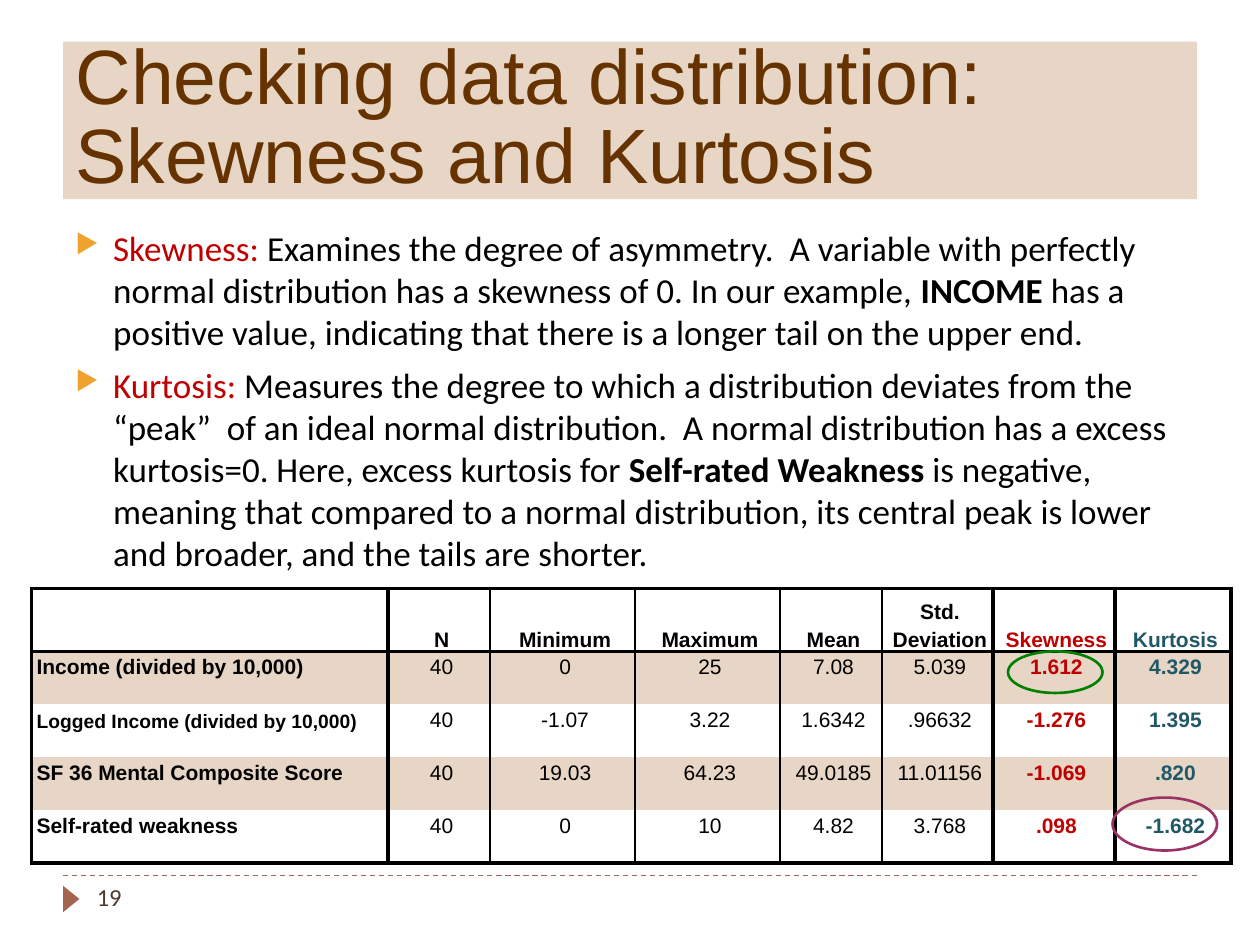
from dataclasses import dataclass

from lxml import etree
from pptx import Presentation
from pptx import util as u
from pptx.dml.color import RGBColor
from pptx.enum import dml, shapes, text
from pptx.oxml import ns

Inches, Pt = u.Inches, u.Pt


@dataclass(frozen=True)
class Theme:
    heading_font: str = "Arial"
    body_font: str = "Calibri"
    title_size: int = 44
    body_size: int = 20
    number_size: int = 14
    table_size: int = 12
    small_size: int = 11
    sand: str = "E7D6C5"
    white: str = "FFFFFF"
    black: str = "000000"
    brown: str = "663300"
    rust: str = "A5644E"
    dark: str = "4E3B30"
    amber: str = "F0A22E"
    red: str = "C00000"
    teal: str = "215868"
    green: str = "008000"
    plum: str = "993366"
    thick: float = 2.25
    thin: float = 1


THEME = Theme()

BULLETS = [
    [("Skewness: ", THEME.red, False),
     ("Examines the degree of asymmetry.  A variable with perfectly normal distribution "
      "has a skewness of 0. In our example, ", THEME.black, False),
     ("INCOME", THEME.black, True),
     (" has a positive value, indicating that there is a longer tail on the upper end.",
      THEME.black, False)],
    [("Kurtosis: ", THEME.red, False),
     ("Measures the degree to which a distribution deviates from the “peak”  of an ideal "
      "normal distribution.  A normal distribution has a excess kurtosis=0. Here, excess "
      "kurtosis for ", THEME.black, False),
     ("Self-rated Weakness", THEME.black, True),
     (" is negative, meaning that compared to a normal distribution, its central peak is "
      "lower and broader, and the tails are shorter.", THEME.black, False)],
]

STATISTICS = [
    ["", "N", "Minimum", "Maximum", "Mean", "Std. Deviation", "Skewness", "Kurtosis"],
    ["Income (divided by 10,000)", "40", "0", "25", "7.08", "5.039", "1.612", "4.329"],
    ["Logged Income (divided by 10,000)", "40", "-1.07", "3.22", "1.6342", ".96632",
     "-1.276", "1.395"],
    ["SF 36 Mental Composite Score", "40", "19.03", "64.23", "49.0185", "11.01156",
     "-1.069", ".820"],
    ["Self-rated weakness", "40", "0", "10", "4.82", "3.768", ".098", "-1.682"],
]
COLUMN_WIDTHS = [2.83, 0.81, 1.15, 1.15, 0.81, 0.88, 0.97, 0.92]
ROW_HEIGHTS = [0.5] + [0.42] * 4
THICK_EDGES = {0, 1, 6, 7, 8}
COLUMN_COLORS = {6: THEME.red, 7: THEME.teal}


def rgb(value):
    return RGBColor.from_string(value)


def style_font(font, name, size, color, bold=False):
    font.name, font.size, font.bold = name, Pt(size), bold
    font.color.rgb = rgb(color)


def add_child(parent, tag, **attributes):
    return etree.SubElement(parent, ns.qn(tag), **attributes)


def add_title(slide, left, top, width, height):
    title = slide.shapes.title
    title.left, title.top, title.width, title.height = map(Inches, (left, top, width, height))
    title.fill.solid()
    title.fill.fore_color.rgb = rgb(THEME.sand)
    frame = title.text_frame
    frame.text = "Checking data distribution: \vSkewness and Kurtosis"
    frame.auto_size = text.MSO_AUTO_SIZE.NONE
    frame.vertical_anchor = text.MSO_ANCHOR.MIDDLE
    heading = frame.paragraphs[0]
    heading.alignment = text.PP_ALIGN.LEFT
    heading.line_spacing = Pt(45)
    style_font(heading.font, THEME.heading_font, THEME.title_size, THEME.brown)


def add_bullet(paragraph):
    properties = paragraph._p.get_or_add_pPr()
    properties.set("marL", str(Inches(0.3)))
    properties.set("indent", str(-Inches(0.3)))
    add_child(add_child(properties, "a:buClr"), "a:srgbClr", val=THEME.amber)
    add_child(properties, "a:buSzPct", val="76000")
    add_child(properties, "a:buChar", char="▶")


def add_definitions(slide, left, top, width, height):
    box = slide.shapes.add_textbox(*map(Inches, (left, top, width, height)))
    frame = box.text_frame
    frame.word_wrap = True
    for index, parts in enumerate(BULLETS):
        definition = frame.add_paragraph() if index else frame.paragraphs[0]
        add_bullet(definition)
        definition.space_before = Pt(6)
        definition.font.name = THEME.body_font
        definition.font.size = Pt(THEME.body_size)
        for wording, color, bold in parts:
            run = definition.add_run()
            run.text = wording
            run.font.bold = bold
            run.font.color.rgb = rgb(color)


def set_borders(cell, widths):
    properties = cell._tc.get_or_add_tcPr()
    for position, (side, width) in enumerate(zip("LRTB", widths)):
        border = etree.Element(ns.qn(f"a:ln{side}"), w=str(Pt(width)))
        if width:
            add_child(add_child(border, "a:solidFill"), "a:srgbClr", val=THEME.black)
        else:
            add_child(border, "a:noFill")
        properties.insert(position, border)


def fill_cell(cell, wording, row, column):
    header, label = row == 0, column == 0
    cell.margin_left = cell.margin_right = cell.margin_top = cell.margin_bottom = 0
    cell.vertical_anchor = text.MSO_ANCHOR.BOTTOM if header else text.MSO_ANCHOR.TOP
    cell.fill.solid()
    cell.fill.fore_color.rgb = rgb(THEME.sand if row % 2 else THEME.white)
    left, right = (THEME.thick if edge in THICK_EDGES else THEME.thin
                   for edge in (column, column + 1))
    above = THEME.thick if row <= 1 else 0
    below = THEME.thick if row in (0, len(STATISTICS) - 1) else 0
    set_borders(cell, (left, right, above, below))
    cell.text = wording
    value = cell.text_frame.paragraphs[0]
    value.alignment = text.PP_ALIGN.LEFT if label else text.PP_ALIGN.CENTER
    value.line_spacing = Pt(16)
    value._p.get_or_add_pPr().set("marL", str(Inches(0.04)))
    size = THEME.small_size if label and row == 2 else THEME.table_size
    style_font(value.font, THEME.heading_font, size,
               COLUMN_COLORS.get(column, THEME.black),
               header or label or column in COLUMN_COLORS)


def add_statistics(slide, left, top, width, height):
    frame = slide.shapes.add_table(len(STATISTICS), len(COLUMN_WIDTHS),
                                   *map(Inches, (left, top, width, height)))
    table = frame.table
    for column, column_width in zip(table.columns, COLUMN_WIDTHS):
        column.width = Inches(column_width)
    for row, row_height in zip(table.rows, ROW_HEIGHTS):
        row.height = Inches(row_height)
    for row, values in enumerate(STATISTICS):
        for column, wording in enumerate(values):
            fill_cell(table.cell(row, column), wording, row, column)


def add_highlight(slide, color, left, top, width, height):
    ring = slide.shapes.add_shape(shapes.MSO_SHAPE.OVAL,
                                  *map(Inches, (left, top, width, height)))
    ring.shadow.inherit = False
    ring.fill.background()
    ring.line.color.rgb = rgb(color)
    ring.line.width = Pt(1.5)


def add_footer(slide, left, top, width, height):
    rule = slide.shapes.add_connector(shapes.MSO_CONNECTOR.STRAIGHT, Inches(left), Inches(top),
                                      Inches(left + width), Inches(top))
    rule.line.color.rgb = rgb(THEME.rust)
    rule.line.width = Pt(0.75)
    rule.line.dash_style = dml.MSO_LINE.DASH
    add_child(rule._element.spPr, "a:effectLst")

    marker = slide.shapes.add_shape(shapes.MSO_SHAPE.ISOSCELES_TRIANGLE, Inches(left - 0.04),
                                    Inches(top + 0.12), Inches(0.21), Inches(0.13))
    marker.rotation = 90
    marker.shadow.inherit = False
    marker.fill.solid()
    marker.fill.fore_color.rgb = rgb(THEME.rust)
    marker.line.fill.background()

    number = slide.shapes.add_textbox(Inches(left + 0.17), Inches(top), Inches(2.17),
                                      Inches(height))
    number.text_frame.text = "19"
    style_font(number.text_frame.paragraphs[0].font, THEME.body_font, THEME.number_size,
               THEME.dark)


def main():
    deck = Presentation()
    deck.slide_width, deck.slide_height = Inches(10), Inches(7.5)
    slide = deck.slides.add_slide(deck.slide_layouts[5])
    add_footer(slide, 0.5, 6.95, 9, 0.4)
    add_title(slide, 0.5, 0.33, 9, 1.25)
    add_definitions(slide, 0.5, 1.75, 9, 4.98)
    add_statistics(slide, 0.25, 4.67, sum(COLUMN_WIDTHS), sum(ROW_HEIGHTS))
    add_highlight(slide, THEME.green, 8, 5.17, 0.75, 0.33)
    add_highlight(slide, THEME.plum, 8.83, 6.33, 0.83, 0.42)
    deck.save("out.pptx")


if __name__ == "__main__":
    main()
